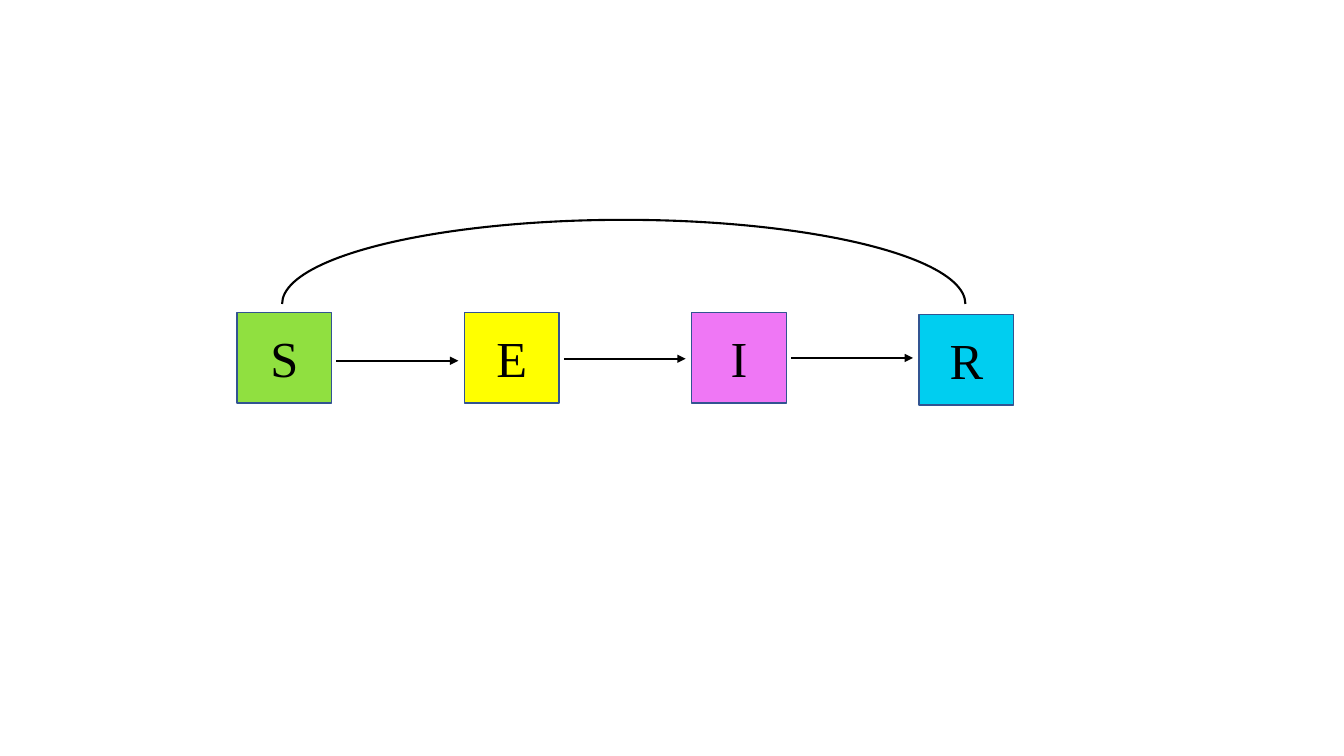
from lxml import etree
from pptx import Presentation
from pptx.dml.color import RGBColor
from pptx.enum.shapes import MSO_CONNECTOR, MSO_SHAPE
from pptx.enum.text import MSO_ANCHOR, PP_ALIGN
from pptx.oxml.ns import qn
from pptx.util import Cm, Pt

COLORS = {
    "S": "90E040",
    "E": "FFFF00",
    "I": "EF77F5",
    "R": "00CEF0",
    "border": "325491",
    "ink": "000000",
}
FONT = "Times New Roman"

# Compartment row, in centimetres
ROW_LEFT, PITCH = 5.97, 5.73
BOX_WIDTH, BOX_HEIGHT = 2.39, 2.29
BOX_TOPS = {"S": 7.87, "E": 7.87, "I": 7.87, "R": 7.92}
ARROW_OFFSET, ARROW_LENGTH = 2.51, 3.07
ARROW_HEIGHTS = [9.09, 9.04, 9.02]


def color(name):
    return RGBColor.from_string(COLORS[name])


def style_line(line, name, width):
    line.color.rgb = color(name)
    line.width = Pt(width)


def add_compartment(slide, letter, left, top):
    shape = slide.shapes.add_shape(
        MSO_SHAPE.RECTANGLE, Cm(left), Cm(top), Cm(BOX_WIDTH), Cm(BOX_HEIGHT))
    shape.shadow.inherit = False
    shape.fill.solid()
    shape.fill.fore_color.rgb = color(letter)
    style_line(shape.line, "border", 1)
    shape.text_frame.vertical_anchor = MSO_ANCHOR.MIDDLE
    paragraph = shape.text_frame.paragraphs[0]
    paragraph.alignment = PP_ALIGN.CENTER
    run = paragraph.add_run()
    run.text = letter
    run.font.name = FONT
    run.font.size = Pt(36)
    run.font.color.rgb = color("ink")


def add_arrow(slide, left, height):
    connector = slide.shapes.add_connector(
        MSO_CONNECTOR.STRAIGHT, Cm(left), Cm(height),
        Cm(left + ARROW_LENGTH), Cm(height))
    style_line(connector.line, "ink", 1.5)
    properties = connector._element.spPr
    etree.SubElement(properties.find(qn("a:ln")), qn("a:tailEnd"), type="triangle")
    etree.SubElement(properties, qn("a:effectLst"))


def add_half_ellipse(slide, left, top, width, height):
    arc = slide.shapes.add_shape(
        MSO_SHAPE.ARC, Cm(left), Cm(top), Cm(width), Cm(height))
    # From 180 degrees over the top to 0 degrees
    arc.adjustments[0] = 108
    arc.adjustments[1] = 0
    arc.shadow.inherit = False
    arc.fill.background()
    style_line(arc.line, "ink", 1.5)


def main():
    presentation = Presentation()
    presentation.slide_width = Cm(33.87)
    presentation.slide_height = Cm(19.05)
    slide = presentation.slides.add_slide(presentation.slide_layouts[6])

    # Compartments
    for index, (letter, top) in enumerate(BOX_TOPS.items()):
        add_compartment(slide, letter, ROW_LEFT + index * PITCH, top)

    # Transitions between neighbours
    for index, height in enumerate(ARROW_HEIGHTS):
        add_arrow(slide, ROW_LEFT + index * PITCH + ARROW_OFFSET, height)

    # Curve joining R and S
    add_half_ellipse(slide, 7.11, 5.54, 17.22, 4.24)

    presentation.save("out.pptx")


if __name__ == "__main__":
    main()
